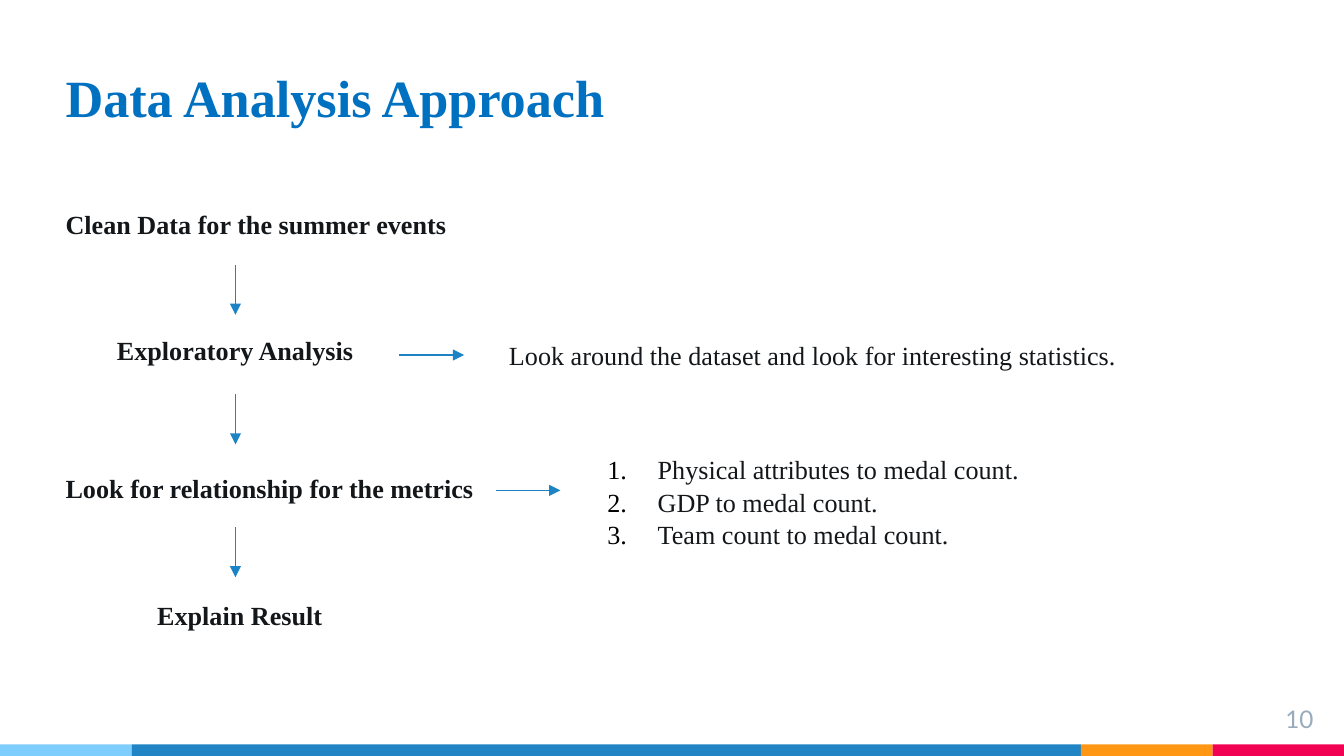
from dataclasses import dataclass
from itertools import pairwise

import pptx
import pptx.dml.color
import pptx.enum.shapes
import pptx.enum.text
import pptx.oxml
import pptx.oxml.ns
import pptx.util
from pptx.util import Cm

ALIGN = pptx.enum.text.PP_ALIGN
ANCHOR = pptx.enum.text.MSO_ANCHOR


@dataclass(frozen=True)
class Theme:
    serif: str = "Times New Roman"
    sans: str = "Lato"
    title: str = "0070C0"
    ink: str = "13171A"
    number: str = "97ABBC"
    arrow: str = "1C83C5"
    bars: tuple[str, ...] = ("7ECEFD", "2185C5", "FF9715", "F20253")
    title_size: int = 28
    body_size: int = 14
    number_size: int = 13


@dataclass(frozen=True)
class Label:
    left: float
    top: float
    width: float
    lines: tuple[str, ...]
    bold: bool = False
    numbered: bool = False


@dataclass(frozen=True)
class Arrow:
    x: float
    y: float
    dx: float = 0
    dy: float = 0


THEME = Theme()
WIDTH, HEIGHT = 25.4, 14.29
BAR_HEIGHT = 0.22
BAR_EDGES = (0, 2.49, 20.43, 22.92, WIDTH)
FLOW_X = 4.45
DOWN, RIGHT = 0.95, 1.22

LABELS = (
    Label(0.99, 3.81, 7.77, ("Clean Data for the summer events",), bold=True),
    Label(1.96, 6.2, 5, ("Exploratory Analysis",), bold=True),
    Label(0.99, 8.81, 9.25, ("Look for relationship for the metrics",), bold=True),
    Label(2.72, 11.2, 4.09, ("Explain Result",), bold=True),
    Label(9.37, 6.3, 13.11,
          ("Look around the dataset and look for interesting statistics.",)),
    Label(11.23, 8.41, 13.11,
          ("Physical attributes to medal count.", "GDP to medal count.",
           "Team count to medal count."), numbered=True),
)
ARROWS = (
    *(Arrow(FLOW_X, y, dy=DOWN) for y in (5, 7.45, 9.96)),
    Arrow(7.55, 6.71, dx=RIGHT),
    Arrow(9.37, 9.27, dx=RIGHT),
)


def rgb(color: str) -> pptx.dml.color.RGBColor:
    return pptx.dml.color.RGBColor.from_string(color)


def add_run(p, text: str, size: int, color: str, font: str = THEME.serif,
            bold: bool = False) -> None:
    r = p.add_run()
    r.text = text
    r.font.name = font
    r.font.size = pptx.util.Pt(size)
    r.font.bold = bold
    r.font.color.rgb = rgb(color)


def number_paragraph(p) -> None:
    """Give the paragraph a black automatic number and a hanging indent."""
    pPr = p._p.get_or_add_pPr()
    pPr.set("marL", str(Cm(0.95)))
    pPr.set("indent", str(-Cm(0.95)))
    color = pptx.oxml.ns.nsdecls("a")
    pPr.append(pptx.oxml.parse_xml(
        f'<a:buClr {color}><a:srgbClr val="000000"/></a:buClr>'))
    pPr.append(pptx.oxml.parse_xml(f'<a:buAutoNum {color} type="arabicPeriod"/>'))


def add_label(slide, label: Label) -> None:
    height = 0.25 + 0.6 * len(label.lines)
    sp = slide.shapes.add_textbox(Cm(label.left), Cm(label.top),
                                  Cm(label.width), Cm(height))
    tf = sp.text_frame
    tf.word_wrap = True
    for i, line in enumerate(label.lines):
        p = tf.add_paragraph() if i else tf.paragraphs[0]
        if label.numbered:
            p.line_spacing = 1.05
            number_paragraph(p)
        add_run(p, line, THEME.body_size, THEME.ink, bold=label.bold)


def add_arrow(slide, arrow: Arrow) -> None:
    cxn = slide.shapes.add_connector(
        pptx.enum.shapes.MSO_CONNECTOR.STRAIGHT, Cm(arrow.x), Cm(arrow.y),
        Cm(arrow.x + arrow.dx), Cm(arrow.y + arrow.dy))
    cxn.line.color.rgb = rgb(THEME.arrow)
    cxn.line.width = pptx.util.Pt(0.75)
    ns = pptx.oxml.ns.nsdecls("a")
    cxn.line._get_or_add_ln().append(
        pptx.oxml.parse_xml(f'<a:tailEnd {ns} type="triangle"/>'))
    cxn._element.spPr.append(pptx.oxml.parse_xml(f"<a:effectLst {ns}/>"))


def add_footer_bars(slide) -> None:
    for (left, right), color in zip(pairwise(BAR_EDGES), THEME.bars):
        sp = slide.shapes.add_shape(
            pptx.enum.shapes.MSO_SHAPE.RECTANGLE, Cm(left),
            Cm(HEIGHT - BAR_HEIGHT), Cm(right - left), Cm(BAR_HEIGHT))
        sp.shadow.inherit = False
        sp.fill.solid()
        sp.fill.fore_color.rgb = rgb(color)
        sp.line.fill.background()


def set_margins(tf) -> None:
    tf.margin_left = tf.margin_right = tf.margin_top = tf.margin_bottom = Cm(0.25)


def add_page_number(slide, number: str) -> None:
    sp = slide.shapes.add_textbox(Cm(23.55), Cm(13.06), Cm(1.52), Cm(0.86))
    tf = sp.text_frame
    tf.word_wrap = True
    set_margins(tf)
    p = tf.paragraphs[0]
    p.alignment = ALIGN.RIGHT
    add_run(p, number, THEME.number_size, THEME.number, THEME.sans)


def set_title(slide, text: str) -> None:
    sp = slide.shapes.title
    sp.left, sp.top, sp.width, sp.height = Cm(0.99), Cm(0.28), Cm(21.18), Cm(2.39)
    tf = sp.text_frame
    tf.auto_size = pptx.enum.text.MSO_AUTO_SIZE.NONE
    tf.vertical_anchor = ANCHOR.BOTTOM
    set_margins(tf)
    p = tf.paragraphs[0]
    p.alignment = ALIGN.LEFT
    add_run(p, text, THEME.title_size, THEME.title, bold=True)


def main() -> None:
    prs = pptx.Presentation()
    prs.slide_width, prs.slide_height = Cm(WIDTH), Cm(HEIGHT)
    s = prs.slides.add_slide(prs.slide_layouts.get_by_name("Title Only"))
    add_footer_bars(s)
    add_page_number(s, "10")
    set_title(s, "Data Analysis Approach")
    for label in LABELS:
        add_label(s, label)
    for arrow in ARROWS:
        add_arrow(s, arrow)
    prs.save("out.pptx")


if __name__ == "__main__":
    main()
